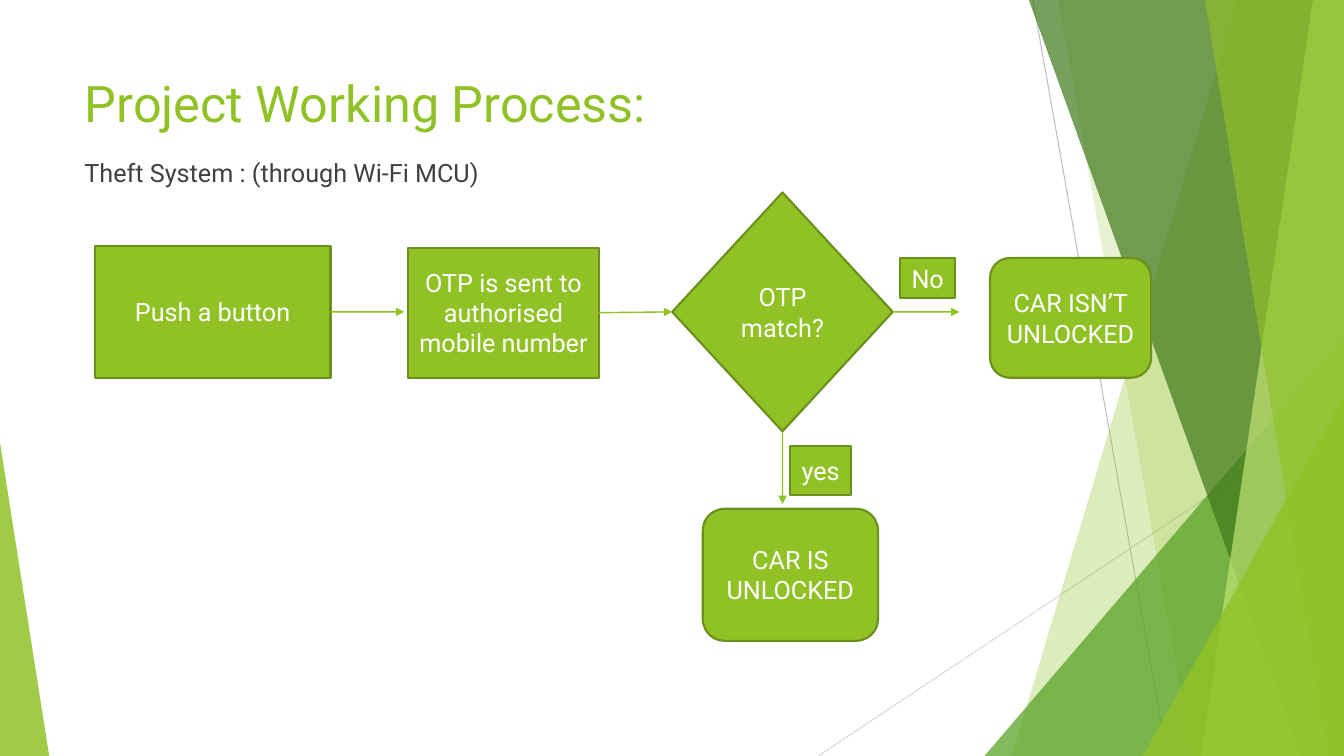
from lxml import etree
from pptx import Presentation
from pptx.dml.color import RGBColor
from pptx.enum.shapes import MSO_CONNECTOR, MSO_SHAPE
from pptx.enum.text import MSO_ANCHOR, MSO_AUTO_SIZE, PP_ALIGN
from pptx.oxml.ns import qn
from pptx.util import Cm, Pt

FONT = "Roboto"
GREEN = RGBColor(0x90, 0xC2, 0x26)
OUTLINE = RGBColor(0x6B, 0x90, 0x1C)
LEAF = RGBColor(0x54, 0xA0, 0x21)
FOREST = RGBColor(0x3F, 0x78, 0x19)
LIME = RGBColor(0xC0, 0xE4, 0x74)
WHITE = RGBColor(0xFF, 0xFF, 0xFF)
CHARCOAL = RGBColor(0x40, 0x40, 0x40)
GREY = RGBColor(0xBF, 0xBF, 0xBF)
PALE_GREY = RGBColor(0xD9, 0xD9, 0xD9)

RECT = MSO_SHAPE.RECTANGLE
ROUNDED = MSO_SHAPE.ROUNDED_RECTANGLE
DIAMOND = MSO_SHAPE.DIAMOND
TRIANGLE = MSO_SHAPE.ISOSCELES_TRIANGLE
STRAIGHT = MSO_CONNECTOR.STRAIGHT
LEFT, CENTER = PP_ALIGN.LEFT, PP_ALIGN.CENTER
TOP, MIDDLE = MSO_ANCHOR.TOP, MSO_ANCHOR.MIDDLE
NO_FIT = MSO_AUTO_SIZE.NONE

SLIDE_W, SLIDE_H = 33.87, 19.05
LEFT_SITE, BOTTOM_SITE, RIGHT_SITE = 1, 2, 3


def write(shape, text, size=18, color=WHITE, align=CENTER, anchor=MIDDLE):
    frame = shape.text_frame
    frame.word_wrap = True
    frame.auto_size = NO_FIT
    frame.vertical_anchor = anchor
    paragraph = frame.paragraphs[0]
    paragraph.alignment = align
    run = paragraph.add_run()
    run.text = text
    run.font.name = FONT
    run.font.size = Pt(size)
    run.font.color.rgb = color


def draw_line(slide, start, end, color, width):
    line = slide.shapes.add_connector(STRAIGHT, *map(Cm, start + end))
    line.line.color.rgb = color
    line.line.width = Pt(width)
    etree.SubElement(line._element.spPr, qn("a:effectLst"))
    return line


def tint(shape, color, opacity):
    shape.shadow.inherit = False
    shape.fill.solid()
    shape.fill.fore_color.rgb = color
    shape.line.fill.background()
    color_element = shape._element.spPr.find(qn("a:solidFill"))[0]
    etree.SubElement(color_element, qn("a:alpha"), val=str(opacity * 1000))


def add_band(slide, box, top_x, bottom_x, color, opacity):
    x, y, w, h = box
    corners = [(x + w, y), (x + w, y + h), (x + bottom_x, y + h)]
    outline = slide.shapes.build_freeform(Cm(x + top_x), Cm(y), scale=1.0)
    outline.add_line_segments([(Cm(px), Cm(py)) for px, py in corners], close=True)
    tint(outline.convert_to_shape(), color, opacity)


def add_wedge(slide, box, apex, color, opacity):
    wedge = slide.shapes.add_shape(TRIANGLE, *map(Cm, box))
    wedge.adjustments[0] = apex
    tint(wedge, color, opacity)


def add_right_facets(slide, box):
    x, y, w, h = box
    draw_line(slide, (x + 5.41, y), (x + 8.79, y + h), GREY, 0.75)
    draw_line(slide, (x + w, y + 10.24), (x, y + h), PALE_GREY, 0.75)
    add_band(slide, box, 10.57, 4.88, GREEN, 30)
    add_band(slide, box, 6.05, 9.42, GREEN, 20)
    add_wedge(slide, (x + 4.19, y + 8.46, w - 4.19, h - 8.46), 1, LEAF, 72)
    add_band(slide, box, 5.31, 12.17, FOREST, 70)
    add_band(slide, box, 12.47, 9.65, LIME, 70)
    add_band(slide, box, 9.75, 12.85, GREEN, 65)
    add_wedge(slide, (x + 8.18, y + 9.98, w - 8.18, h - 9.98), 1, GREEN, 80)


def add_heading(slide, box):
    x, y, w, h = box
    title = slide.shapes.title
    title.left, title.top, title.width, title.height = map(Cm, (x, y, w, h))
    write(title, "Project Working Process:", size=36, color=GREEN, align=LEFT, anchor=TOP)
    subtitle = slide.shapes.add_textbox(Cm(x), Cm(y + 2.13), Cm(w), Cm(1))
    write(subtitle, "Theft System : (through Wi-Fi MCU)", color=CHARCOAL, align=LEFT, anchor=TOP)


def add_step(slide, kind, text, box):
    step = slide.shapes.add_shape(kind, *map(Cm, box))
    step.shadow.inherit = False
    step.fill.solid()
    step.fill.fore_color.rgb = GREEN
    step.line.color.rgb = OUTLINE
    step.line.width = Pt(1.5)
    write(step, text)
    return step


def add_arrow(slide, source, site, start, end):
    arrow = draw_line(slide, start, end, GREEN, 1)
    arrow.begin_connect(source, site)
    etree.SubElement(arrow.line._get_or_add_ln(), qn("a:tailEnd"), type="triangle")
    return arrow


def add_flowchart(slide, box):
    x, y, w, h = box
    axis = y + 3.01
    decision_x = x + 17.33

    push = add_step(slide, RECT, "Push a button", (x, axis - 1.66, 5.94, 3.32))
    send = add_step(slide, RECT, "OTP is sent to authorised mobile number",
                    (x + 7.9, axis - 1.62, 4.8, 3.28))
    match = add_step(slide, DIAMOND, "OTP match?", (decision_x - 2.78, y, 5.56, 6.02))
    add_step(slide, ROUNDED, "CAR IS UNLOCKED", (x + 15.32, y + h - 3.33, 4.42, 3.33))
    add_step(slide, RECT, "yes", (x + 17.53, y + 6.4, 1.52, 1.22))
    add_step(slide, RECT, "No", (x + 20.29, y + 1.65, 1.4, 1.02))
    add_step(slide, ROUNDED, "CAR ISN’T UNLOCKED", (x + w - 4.06, y + 1.65, 4.06, 3.02))

    add_arrow(slide, push, RIGHT_SITE, (x + 5.94, axis), (x + 7.8, axis))
    to_match = add_arrow(slide, send, RIGHT_SITE, (x + 12.7, axis), (x + 14.55, axis))
    to_match.end_connect(match, LEFT_SITE)
    add_arrow(slide, match, BOTTOM_SITE, (decision_x, y + 6.02), (decision_x, y + 7.85))
    add_arrow(slide, match, RIGHT_SITE, (x + 20.11, axis), (x + 21.79, axis))


def main():
    prs = Presentation()
    prs.slide_width, prs.slide_height = Cm(SLIDE_W), Cm(SLIDE_H)
    slide = prs.slides.add_slide(prs.slide_layouts[5])
    add_right_facets(slide, (20.62, 0, SLIDE_W - 20.62, SLIDE_H))
    add_wedge(slide, (0, 11.15, 1.24, SLIDE_H - 11.15), 0, GREEN, 85)
    add_heading(slide, (1.88, 1.7, 23.88, 2.1))
    add_flowchart(slide, (2.39, 4.85, 26.62, 11.3))
    prs.save("out.pptx")


if __name__ == "__main__":
    main()
